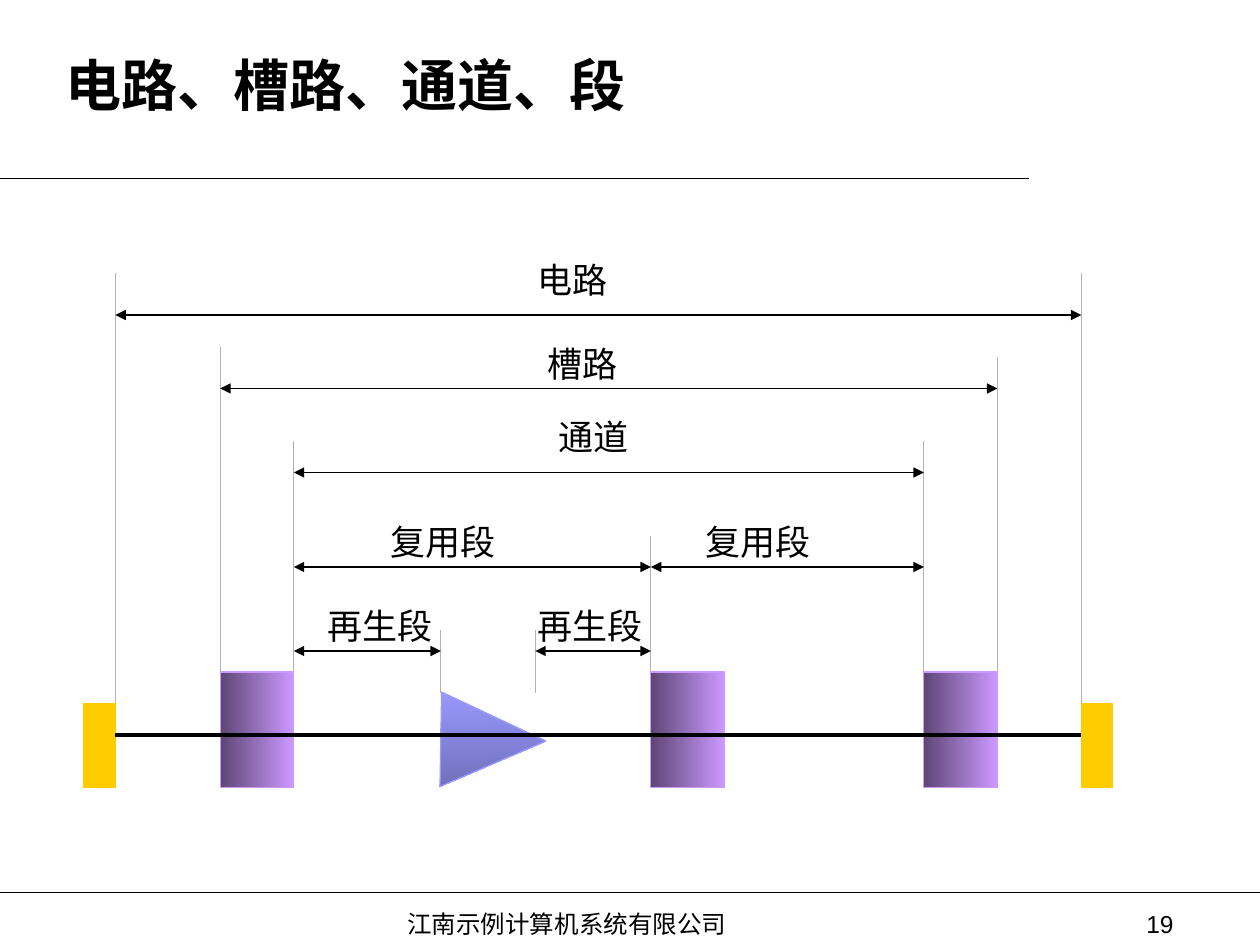
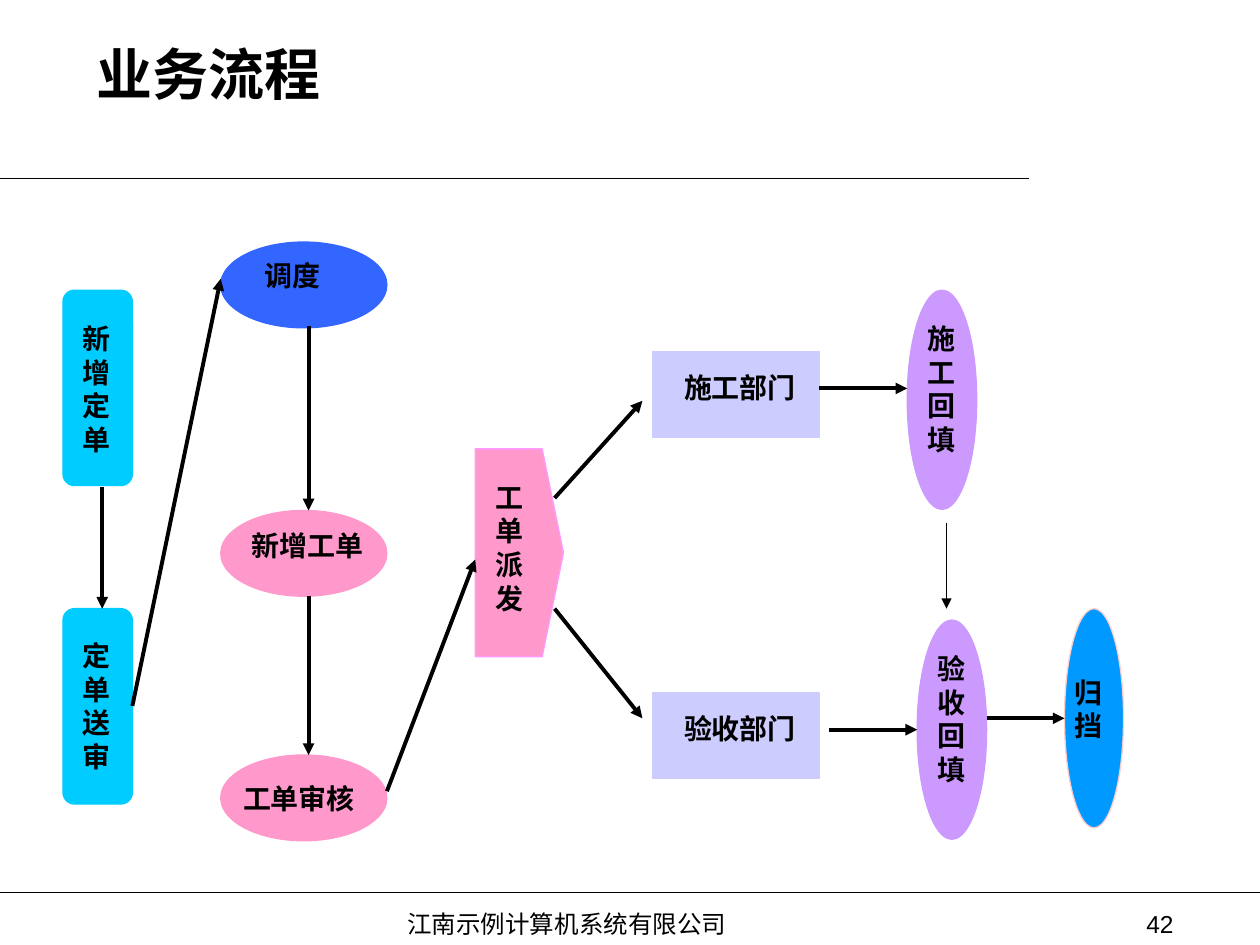
from dataclasses import dataclass

from lxml import etree
from pptx import Presentation
from pptx.dml.color import RGBColor
from pptx.enum.shapes import MSO_CONNECTOR, MSO_SHAPE
from pptx.enum.text import MSO_ANCHOR, MSO_AUTO_SIZE, PP_ALIGN
from pptx.oxml.ns import qn
from pptx.util import Cm, Pt

STRAIGHT = MSO_CONNECTOR.STRAIGHT
RECTANGLE = MSO_SHAPE.RECTANGLE
ELLIPSE = MSO_SHAPE.OVAL
TRIANGLE = MSO_SHAPE.ISOSCELES_TRIANGLE
ROUNDED = MSO_SHAPE.FLOWCHART_ALTERNATE_PROCESS
LEFT, RIGHT = PP_ALIGN.LEFT, PP_ALIGN.RIGHT
TOP, MIDDLE = MSO_ANCHOR.TOP, MSO_ANCHOR.MIDDLE
NO_AUTOFIT = MSO_AUTO_SIZE.NONE
TITLE_ONLY = 5


@dataclass(frozen=True)
class Theme:
    font: str = "Times New Roman"
    number_font: str = "Arial"
    title_size: int = 32
    label_size: int = 20
    step_size: int = 16
    footer_size: int = 14
    thin: float = 0.75
    thick: float = 2.25
    ink: str = "000000"
    guide: str = "B2B2B2"
    terminal: str = "FFCC00"
    lilac: str = "CC99FF"
    lilac_dark: str = "5E4675"
    repeater: str = "9999FF"
    repeater_dark: str = "6F6FB9"
    order: str = "00CCFF"
    dispatch: str = "3366FF"
    work_order: str = "FF99CC"
    work_order_edge: str = "FF99FF"
    department: str = "CCCCFF"
    archive: str = "0099FF"
    archive_edge: str = "FFCCCC"


THEME = Theme()
FOOTER = "江南示例计算机系统有限公司"
GRID = Cm(25.4) / 120  # unit of the transmission diagram


# Shared helpers
def color(value):
    return RGBColor.from_string(value)


def write(text_frame, text, size=THEME.label_size, bold=False,
          font=THEME.font, align=LEFT, anchor=TOP):
    text_frame.word_wrap = True
    text_frame.auto_size = NO_AUTOFIT
    text_frame.vertical_anchor = anchor
    text_frame.text = text
    paragraph = text_frame.paragraphs[0]
    paragraph.alignment = align
    paragraph.font.name = font
    paragraph.font.size = Pt(size)
    paragraph.font.bold = bold
    paragraph.font.color.rgb = color(THEME.ink)


def add_label(slide, box, text, **text_format):
    text_box = slide.shapes.add_textbox(*map(int, box))
    write(text_box.text_frame, text, **text_format)


def paint(shape, fill, edge=None):
    shape.shadow.inherit = False
    shape.fill.solid()
    shape.fill.fore_color.rgb = color(fill)
    shape.line.color.rgb = color(edge or fill)
    shape.line.width = Pt(THEME.thin)


def paint_gradient(shape, light, dark, angle):
    paint(shape, light)
    shape.fill.gradient()
    shape.fill.gradient_angle = angle
    for stop, value in zip(shape.fill.gradient_stops, (light, dark)):
        stop.color.rgb = color(value)
    # The gradient keeps its direction when the shape is turned
    shape._element.spPr.find(qn("a:gradFill")).set("rotWithShape", "0")


def add_line(slide, start, end, stroke=THEME.ink, width=THEME.thin, heads=()):
    connector = slide.shapes.add_connector(
        STRAIGHT, *(int(value) for value in (*start, *end)))
    connector.line.color.rgb = color(stroke)
    connector.line.width = Pt(width)
    line = connector.line._get_or_add_ln()
    for head in heads:
        etree.SubElement(line, qn(f"a:{head}"), type="triangle")
    etree.SubElement(connector._element.spPr, qn("a:effectLst"))


# Title, rules and footer
def add_framed_slide(presentation, title, title_left, title_top, number):
    slide = presentation.slides.add_slide(
        presentation.slide_layouts[TITLE_ONLY])
    heading = slide.shapes.title
    heading.left, heading.top = Cm(title_left), Cm(title_top)
    heading.width, heading.height = Cm(21.79), Cm(1.27)
    write(heading.text_frame, title, size=THEME.title_size, bold=True,
          anchor=MIDDLE)
    for top, right in ((3.6, 20.75), (17.99, 25.4)):
        add_line(slide, (0, Cm(top)), (Cm(right), Cm(top)))
    add_label(slide, (Cm(7.96), Cm(18.21), Cm(7.4), Cm(0.86)), FOOTER,
              size=THEME.footer_size)
    add_label(slide, (Cm(18.63), Cm(18.21), Cm(5.28), Cm(0.84)), number,
              size=THEME.footer_size, font=THEME.number_font, align=RIGHT)
    return slide


# Transmission diagram, in grid units from its top left corner
def draw_transmission(slide, left, top):
    def point(x, y):
        return left + x * GRID, top + y * GRID

    def area(x, y, width, height):
        return [int(value) for value in
                (*point(x, y), width * GRID, height * GRID)]

    # Equipment along the trunk
    for x in (0, 95):
        paint(slide.shapes.add_shape(RECTANGLE, *area(x, 43, 3, 8)),
              THEME.terminal)
    for x in (13, 54, 80):
        node = slide.shapes.add_shape(RECTANGLE, *area(x, 40, 7, 11))
        paint_gradient(node, THEME.lilac, THEME.lilac_dark, 180)
    repeater = slide.shapes.add_shape(TRIANGLE, *area(34.5, 41.5, 9, 10))
    repeater.rotation = 91
    paint_gradient(repeater, THEME.repeater, THEME.repeater_dark, 271)
    add_line(slide, point(3, 46), point(95, 46), width=THEME.thick)

    # Guides: x, top, bottom
    guides = ((3, 2, 43), (13, 9, 40), (20, 18, 40), (34, 36, 42),
              (43, 36, 42), (54, 27, 40), (80, 18, 40), (87, 10, 40),
              (95, 2, 43))
    for x, start, end in guides:
        add_line(slide, point(x, start), point(x, end), stroke=THEME.guide)

    # Spans: name, from x, to x, y, label x, label y
    spans = (("电路", 3, 95, 6, 42, 0), ("槽路", 13, 87, 13, 43, 8),
             ("通道", 20, 80, 21, 44, 15),
             ("复用段", 20, 54, 30, 28, 25), ("复用段", 54, 80, 30, 58, 25),
             ("再生段", 20, 34, 38, 22, 33), ("再生段", 43, 54, 38, 42, 33))
    for name, start, end, y, label_x, label_y in spans:
        add_line(slide, point(start, y), point(end, y),
                 heads=("headEnd", "tailEnd"))
        add_label(slide, area(label_x, label_y, 13, 5.25), name)


# Work-order flow, in centimetres from its top left corner
def draw_work_flow(slide, left, top):
    def point(x, y):
        return left + Cm(x), top + Cm(y)

    def add_step(name, kind, x, y, fill, label_x, label_y, edge=None):
        geometry, width, height, upright = kind
        if geometry:
            shape = slide.shapes.add_shape(
                geometry, *point(x, y), Cm(width), Cm(height))
        else:  # pentagon pointing right
            builder = slide.shapes.build_freeform(*point(x, y))
            builder.add_line_segments(
                [point(x + 1.35, y), point(x + width, y + height / 2),
                 point(x + 1.35, y + height), point(x, y + height)])
            shape = builder.convert_to_shape()
        paint(shape, fill, edge)
        label_size = (1.17, 2.97) if upright else (3.2, 0.94)
        labels.append(((*point(x + label_x, y + label_y),
                        *map(Cm, label_size)), name))

    # Kinds of step: geometry, width, height, upright label
    order = (ROUNDED, 1.4, 3.94, True)
    task = (ELLIPSE, 3.35, 1.73, False)
    issue = (None, 1.78, 4.19, True)
    department = (RECTANGLE, 3.35, 1.73, False)
    report = (ELLIPSE, 1.4, 4.42, True)
    archive = (ELLIPSE, 1.19, 4.42, True)

    # Steps: name, kind, x, y, fill, label offset
    labels = []
    add_step("新增定单", order, 0, 0.97, THEME.order, 0.15, 0.51)
    add_step("定单送审", order, 0, 7.39, THEME.order, 0.15, 0.48)
    add_step("调度", task, 3.18, 0, THEME.dispatch, 0.64, 0.2)
    add_step("新增工单", task, 3.18, 5.41, THEME.work_order, 0.38, 0.25)
    add_step("工单审核", task, 3.18, 10.34, THEME.work_order, 0.2, 0.41)
    add_step("工单派发", issue, 8.31, 4.17, THEME.work_order, 0.15, 0.51,
             edge=THEME.work_order_edge)
    add_step("施工部门", department, 11.89, 2.21, THEME.department, 0.38, 0.25)
    add_step("验收部门", department, 11.89, 9.09, THEME.department, 0.38, 0.25)
    add_step("施工回填", report, 17.02, 0.97, THEME.lilac, 0.15, 0.51)
    add_step("验收回填", report, 17.22, 7.62, THEME.lilac, 0.15, 0.51)
    add_step("归挡", archive, 20.19, 7.39, THEME.archive, -0.05, 1.22,
             edge=THEME.archive_edge)

    # Arrows between the steps
    arrows = (((1.4, 9.35), (3.18, 0.74)), ((0.79, 4.93), (0.79, 7.39)),
              ((4.95, 1.7), (4.95, 5.41)), ((4.95, 7.14), (4.95, 10.34)),
              ((6.53, 11.07), (8.31, 6.4)), ((9.91, 5.16), (11.68, 3.2)),
              ((9.91, 7.39), (11.68, 9.6)), ((15.24, 2.95), (17.02, 2.95)),
              ((15.44, 9.83), (17.22, 9.83)), ((18.62, 9.6), (20.19, 9.6)))
    for start, end in arrows:
        add_line(slide, point(*start), point(*end), width=THEME.thick,
                 heads=("tailEnd",))
    add_line(slide, point(17.81, 5.66), point(17.81, 7.39),
             heads=("tailEnd",))

    # Step names lie above the arrows
    for box, name in labels:
        add_label(slide, box, name, size=THEME.step_size, bold=True)


def main():
    presentation = Presentation()
    presentation.slide_width = Cm(25.4)
    presentation.slide_height = Cm(19.05)
    circuits = add_framed_slide(
        presentation, "电路、槽路、通道、段", 1.07, 1.07, "19")
    draw_transmission(circuits, Cm(1.69), Cm(5.08))
    process = add_framed_slide(presentation, "业务流程", 1.7, 0.84, "42")
    draw_work_flow(process, Cm(1.27), Cm(4.88))
    presentation.save("out.pptx")


if __name__ == "__main__":
    main()
